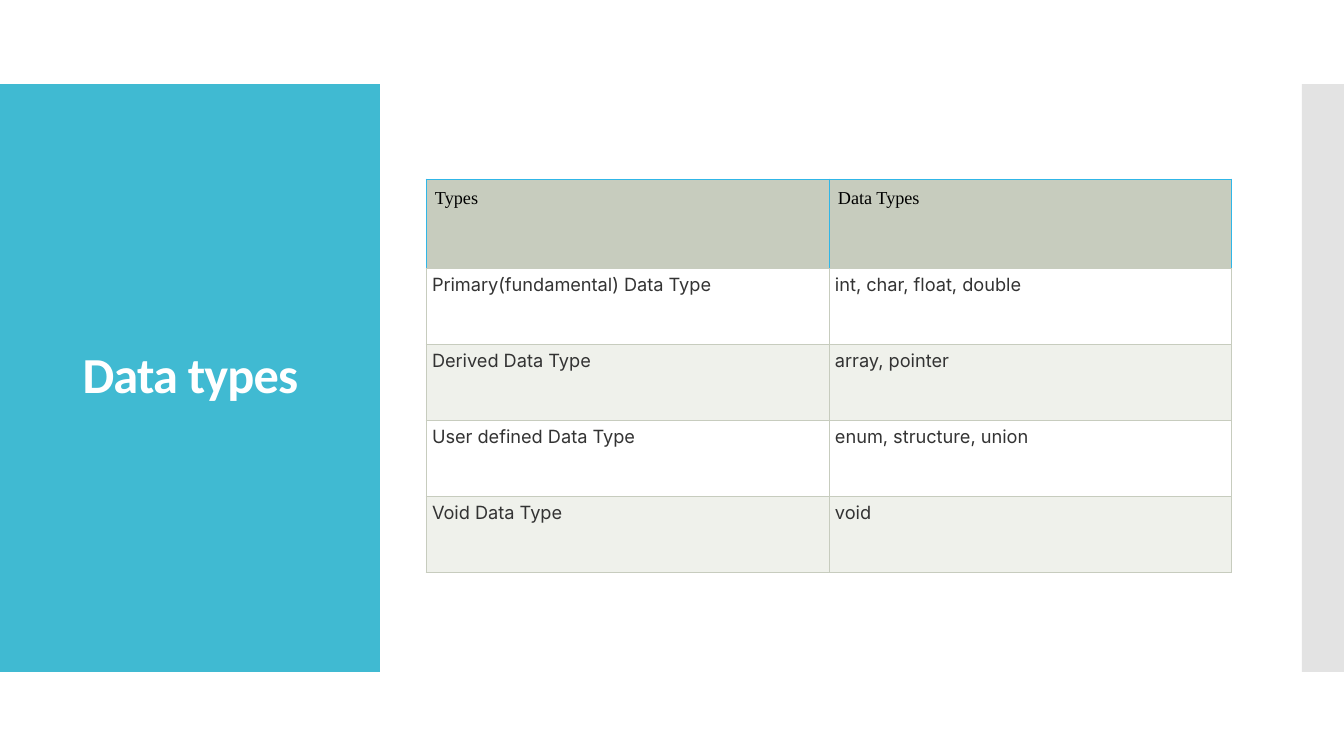
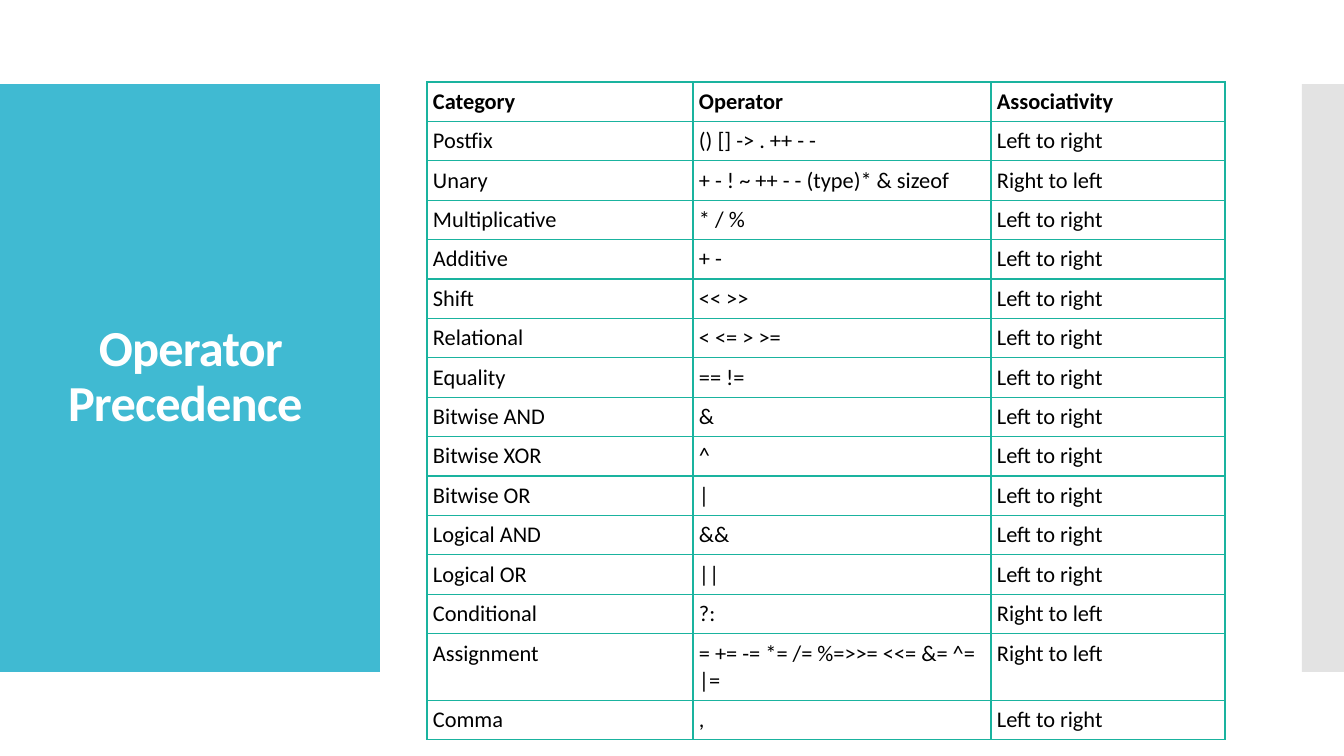
from dataclasses import dataclass

from lxml.etree import SubElement
from pptx import Presentation
from pptx.dml.color import RGBColor as Rgb
from pptx.enum.shapes import MSO_SHAPE as Shape
from pptx.enum.text import MSO_ANCHOR as Anchor, MSO_AUTO_SIZE as AutoSize, PP_ALIGN as Align
from pptx.oxml.ns import qn
from pptx.util import Pt

PX = 914400 / 100.8
SLIDE_WIDTH, SLIDE_HEIGHT = 1344, 756
BAND_TOP, BAND_HEIGHT = 84, 588
PANEL_WIDTH, EDGE_WIDTH = 380, 42


@dataclass(frozen=True)
class Theme:
    panel: str = "40BAD2"
    edge: str = "C8C8C8"
    white: str = "FFFFFF"
    black: str = "000000"
    body: str = "333333"
    sage: str = "C7CCBE"
    stripe: str = "EFF1EB"
    sky: str = "30B6E7"
    teal: str = "1AB39F"
    title_size: int = 36
    types_size: int = 13
    operators_size: int = 16


THEME = Theme()


@dataclass(frozen=True)
class CellStyle:
    font: str
    size: int
    color: str
    margin: int
    borders: dict
    border_width: float
    fill: str = ""
    bold: bool = False
    align: Align = Align.LEFT


def px(length):
    return round(length * PX)


def apply(target, values):
    for name, value in values.items():
        setattr(target, name, value)


def box(left, top, width, height):
    return {"left": px(left), "top": px(top), "width": px(width), "height": px(height)}


def style_font(font, name, size, color, bold):
    apply(font, {"name": name, "size": Pt(size), "bold": bold})
    font.color.rgb = Rgb.from_string(color)


def add_band(slide, layout, left, width, color, opacity=100):
    band = slide.shapes.add_shape(
        Shape.RECTANGLE, *box(left, BAND_TOP, width, BAND_HEIGHT).values())
    band.shadow.inherit = False
    band.fill.solid()
    band.fill.fore_color.rgb = Rgb.from_string(color)
    band.line.fill.background()
    if opacity < 100:
        tint = band.element.spPr.find(".//" + qn("a:srgbClr"))
        SubElement(tint, qn("a:alpha"), val=str(opacity * 1000))
    layout.placeholders[0].element.addprevious(band.element)


def prepare_layout(layout, slide):
    add_band(slide, layout, 0, PANEL_WIDTH, THEME.panel)
    add_band(slide, layout, SLIDE_WIDTH - EDGE_WIDTH, EDGE_WIDTH, THEME.edge, 50)
    heading = layout.placeholders[0]
    apply(heading, box(28, 124, 325, 507))
    apply(heading.text_frame, {
        "vertical_anchor": Anchor.MIDDLE, "word_wrap": True, "auto_size": AutoSize.NONE})


def set_title(slide, text):
    paragraph = slide.shapes.title.text_frame.paragraphs[0]
    apply(paragraph, {"alignment": Align.CENTER, "line_spacing": 0.9})
    run = paragraph.add_run()
    run.text = text
    style_font(run.font, "Calibri", THEME.title_size, THEME.white, True)
    run.font._element.set("spc", "-60")


def add_borders(cell, colors, width):
    properties = cell._tc.get_or_add_tcPr()
    for side in "LRTB":
        line = SubElement(properties, qn("a:ln" + side), w=str(Pt(width)))
        fill = SubElement(line, qn("a:solidFill"))
        SubElement(fill, qn("a:srgbClr"), val=colors[side])


def fill_cell(cell, text, style):
    margins = ("margin_left", "margin_top", "margin_right", "margin_bottom")
    apply(cell, dict.fromkeys(margins, px(style.margin)))
    add_borders(cell, style.borders, style.border_width)
    if style.fill:
        cell.fill.solid()
        cell.fill.fore_color.rgb = Rgb.from_string(style.fill)
    else:
        cell.fill.background()
    paragraph = cell.text_frame.paragraphs[0]
    paragraph.alignment = style.align
    run = paragraph.add_run()
    run.text = text
    style_font(run.font, style.font, style.size, style.color, style.bold)


def add_grid(slide, left, top, widths, heights, rows, header, bodies):
    table = slide.shapes.add_table(
        len(rows), len(widths),
        *box(left, top, sum(widths), sum(heights)).values()).table
    apply(table, {"first_row": False, "horz_banding": False})
    for column, width in zip(table.columns, widths):
        column.width = px(width)
    for index, (row, height, texts) in enumerate(zip(table.rows, heights, rows)):
        row.height = px(height)
        style = bodies[(index - 1) % len(bodies)] if index else header
        for cell, text in zip(row.cells, texts):
            fill_cell(cell, text, style)


def add_types(slide):
    set_title(slide, "Data types")
    rows = [
        ("Types", "Data Types"),
        ("Primary(fundamental) Data Type", "int, char, float, double"),
        ("Derived Data Type", "array, pointer"),
        ("User defined Data Type", "enum, structure, union"),
        ("Void Data Type", "void"),
    ]
    sage_borders = dict.fromkeys("LRTB", THEME.sage)
    header = CellStyle(
        "Times New Roman", THEME.types_size, THEME.black, 9,
        {**dict.fromkeys("LRT", THEME.sky), "B": THEME.sage}, 0.75, THEME.sage)
    bodies = [
        CellStyle("Inter", THEME.types_size, THEME.body, 6, sage_borders, 0.75,
                  fill, align=Align.JUSTIFY)
        for fill in (THEME.white, THEME.stripe)]
    add_grid(slide, 426, 179, [403] * 2, [89] + [76] * 4, rows, header, bodies)


def add_operators(slide):
    set_title(slide, "Operator Precedence ")
    left_to_right, right_to_left = "Left to right", "Right to left"
    rows = [
        ("Category", "Operator", "Associativity"),
        ("Postfix", "() [] -> . ++ - -", left_to_right),
        ("Unary", "+ - ! ~ ++ - - (type)* & sizeof", right_to_left),
        ("Multiplicative", "* / %", left_to_right),
        ("Additive", "+ -", left_to_right),
        ("Shift", "<< >>", left_to_right),
        ("Relational", "< <= > >=", left_to_right),
        ("Equality", "== !=", left_to_right),
        ("Bitwise AND", "&", left_to_right),
        ("Bitwise XOR", "^", left_to_right),
        ("Bitwise OR", "|", left_to_right),
        ("Logical AND", "&&", left_to_right),
        ("Logical OR", "||", left_to_right),
        ("Conditional", "?:", right_to_left),
        ("Assignment", "= += -= *= /= %=>>= <<= &= ^= |=", right_to_left),
        ("Comma", ",", left_to_right),
    ]
    borders = dict.fromkeys("LRTB", THEME.teal)
    header, body = [
        CellStyle("Calibri", THEME.operators_size, THEME.black, 6, borders, 1, bold=bold)
        for bold in (True, False)]
    heights = [64 if row[0] == "Assignment" else 37 for row in rows]
    add_grid(slide, 427, 82, [266, 298, 234], heights, rows, header, [body])


def main():
    deck = Presentation()
    apply(deck, {"slide_width": px(SLIDE_WIDTH), "slide_height": px(SLIDE_HEIGHT)})
    layout = deck.slide_layouts[5]
    builders = (add_types, add_operators)
    slides = [deck.slides.add_slide(layout) for _ in builders]
    prepare_layout(layout, slides[0])
    for build, slide in zip(builders, slides):
        build(slide)
    deck.save("out.pptx")


if __name__ == "__main__":
    main()
